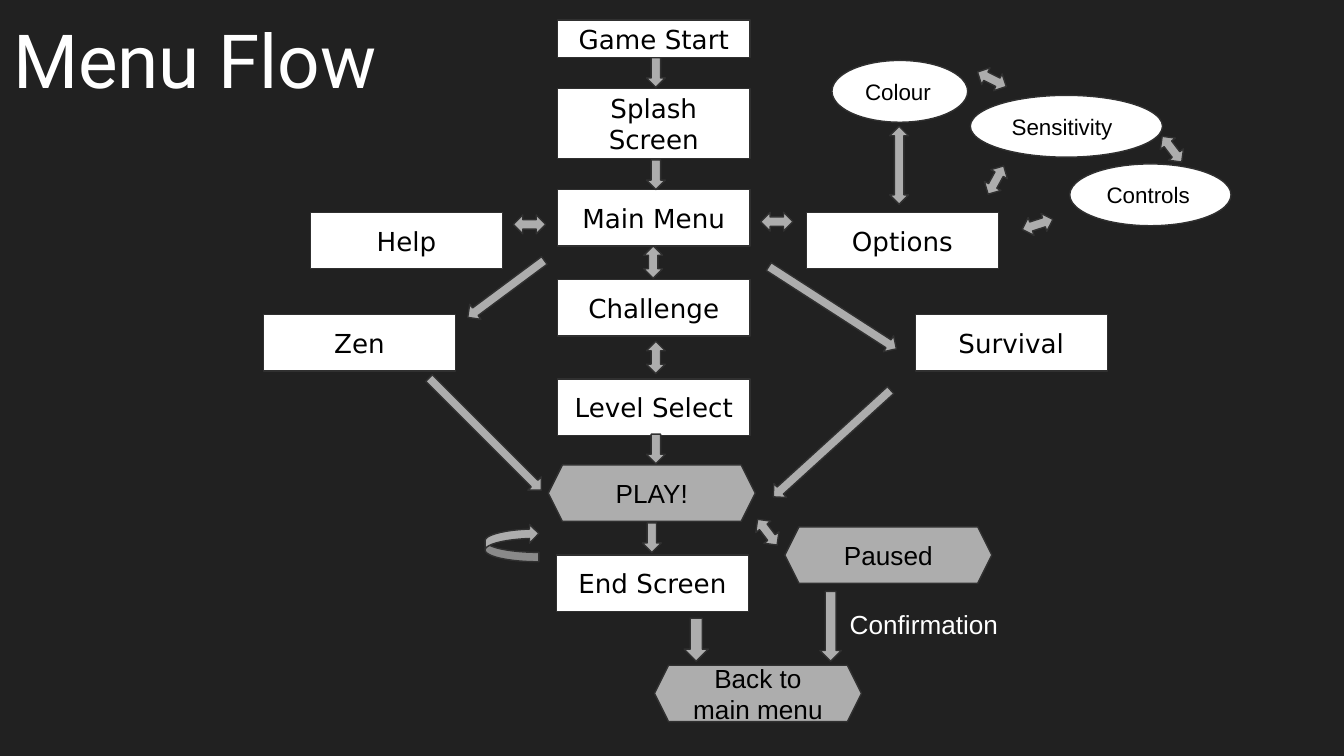
"""Build the menu flow slide of a game."""
from pptx import Presentation, util as u
from pptx.dml.color import RGBColor
from pptx.enum import shapes, text

PX = 9144
Kind = shapes.MSO_SHAPE
Align = text.PP_ALIGN
THEME = {
    "back": "212121", "edge": "303030", "white": "FFFFFF",
    "grey": "ADADAD", "black": "000000",
    "head": ("Roboto", 40), "step": ("DejaVu Sans", 14),
    "play": ("Arial", 14), "pick": ("Arial", 12),
}


def write(item, words, face, tint, align, pad=10):
    """Set the words of a shape or text box."""
    frame = item.text_frame
    frame.word_wrap = True
    frame.margin_left = frame.margin_right = 10 * PX
    frame.margin_top = frame.margin_bottom = pad * PX
    para = frame.paragraphs[0]
    para.text = words
    para.alignment = align
    para.font.name, size = THEME[face]
    para.font.size = u.Pt(size)
    para.font.color.rgb = RGBColor.from_string(THEME[tint])


def draw(kind, area, fill, turn=0):
    """Add a filled and outlined shape."""
    item = slide.shapes.add_shape(kind, *(n * PX for n in area))
    item.shadow.inherit = False
    item.fill.solid()
    item.fill.fore_color.rgb = RGBColor.from_string(THEME[fill])
    item.line.color.rgb = RGBColor.from_string(THEME["edge"])
    item.line.width = u.Pt(0.75)
    item.rotation = turn
    return item


deck = Presentation()
deck.slide_width = 1000 * PX
deck.slide_height = deck.slide_width * 9 // 16
slide = deck.slides.add_slide(deck.slide_layouts[6])
slide.background.fill.solid()
slide.background.fill.fore_color.rgb = RGBColor.from_string(THEME["back"])

labels = [
    ("Menu Flow", (0, 0, 293, 91), "head", Align.LEFT, 10),
    ("Confirmation", (622, 448, 131, 34), "play", Align.CENTER, 5),
]
for words, area, face, align, pad in labels:
    label = slide.shapes.add_textbox(*(n * PX for n in area))
    write(label, words, face, "white", align, pad)

steps = [
    ("Game Start", 415, 15, 28), ("Splash Screen", 415, 66, 52),
    ("Main Menu", 415, 141, 42), ("Options", 600, 158, 42),
    ("Help", 231, 158, 42), ("Zen", 196, 234, 42),
    ("Survival", 681, 234, 42), ("Challenge", 415, 208, 42),
    ("Level Select", 415, 282, 42), ("End Screen", 414, 413, 42),
]
for words, x, y, high in steps:
    step = draw(Kind.RECTANGLE, (x, y, 143, high), "white")
    write(step, words, "step", "black", Align.CENTER)

picks = [("Colour", 619, 45, 101), ("Sensitivity", 722, 71, 143),
         ("Controls", 796, 122, 120)]
for words, x, y, wide in picks:
    pick = draw(Kind.OVAL, (x, y, wide, 46), "white")
    write(pick, words, "pick", "black", Align.LEFT)

plays = [("PLAY!", 408, 346), ("Paused", 584, 392),
         ("Back to main menu", 487, 495)]
for words, x, y in plays:
    play = draw(Kind.HEXAGON, (x, y, 154, 42), "grey")
    write(play, words, "play", "black", Align.CENTER)

ways = [
    (477, 47, 22, 14, 90), (477, 123, 22, 14, 90), (477, 327, 22, 14, 90),
    (474, 393, 22, 14, 90), (341, 208, 71, 14, 143.4),
    (563, 222, 113, 14, 32.8), (560, 323, 118, 14, 137.7),
    (302, 316, 118, 14, 45), (592, 458, 52, 16, 90), (502, 467, 32, 18, 90),
]
for *area, turn in ways:
    draw(Kind.RIGHT_ARROW, area, "grey", turn)

pairs = [
    (662, 94, 58, 0), (765, 155, 24, 72.1), (731, 47, 24, 296.9),
    (865, 99, 24, 322.8), (734, 122, 24, 28.8), (481, 254, 24, 0),
    (387, 155, 24, 90), (571, 153, 24, 90), (564, 384, 24, 322.8),
    (479, 183, 24, 0),
]
for x, y, high, turn in pairs:
    draw(Kind.UP_DOWN_ARROW, (x, y, 14, high), "grey", turn)

retry = draw(Kind.CURVED_RIGHT_ARROW, (361, 390, 40, 28), "grey", 180)
retry._element.spPr.get_or_add_xfrm().set("flipH", "1")

deck.save("out.pptx")
